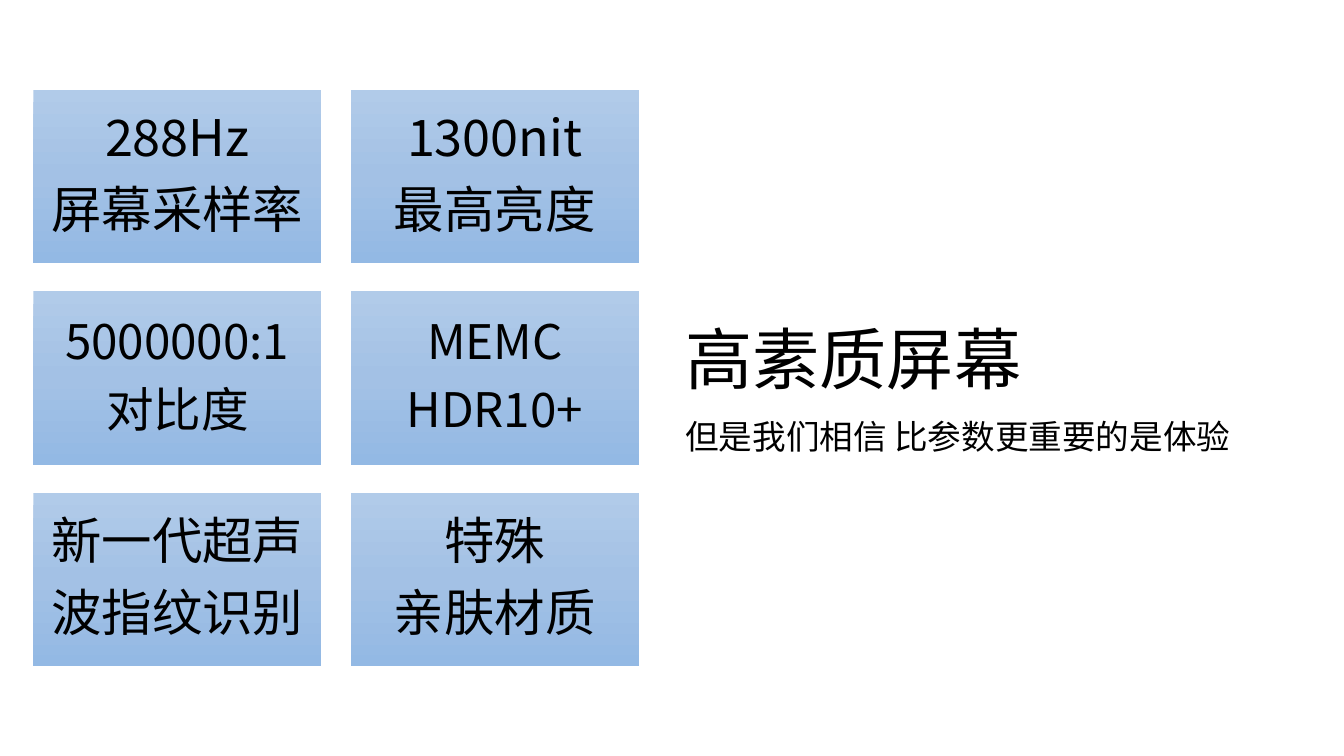
from copy import deepcopy
from dataclasses import dataclass

from lxml import etree
from pptx import Presentation
from pptx.dml.color import RGBColor
from pptx.enum import shapes, text
from pptx.oxml import ns
from pptx.util import Cm, Pt

CJK_FONT = "Noto Sans CJK SC"
BLACK = "000000"
GRADIENT = [(0, "B1CBE9"), (0.5, "A3C1E5"), (1, "93B9E4")]
COLUMNS = 2
LEFT, TOP = 0.84, 2.26
STEP_X, STEP_Y = 8, 5.08
CARD_W, CARD_H = 7.26, 4.37


@dataclass
class Card:
    lines: str
    size: int = 36
    inset: float = 0.38


CARDS = [
    Card("288Hz\n屏幕采样率"),
    Card("1300nit\n最高亮度"),
    Card("5000000:1\n对比度", 34, 0.36),
    Card("MEMC\nHDR10+", 34, 0.36),
    Card("新一代超声\n波指纹识别"),
    Card("特殊\n亲肤材质"),
]


def rgb(value: str) -> RGBColor:
    return RGBColor.from_string(value)


def write(tf, content: str, size: int, font: str, align) -> None:
    tf.text = content
    tf.word_wrap = True
    tf.auto_size = text.MSO_AUTO_SIZE.NONE
    tf.vertical_anchor = text.MSO_ANCHOR.MIDDLE
    for p in tf.paragraphs:
        p.alignment = align
        p.line_spacing = 0.9
        p.space_before = Pt(0)
        for r in p.runs:
            r.font.size = Pt(size)
            r.font.name = font
            r.font.color.rgb = rgb(BLACK)
            ea = etree.SubElement(r.font._element, ns.qn("a:ea"))
            ea.set("typeface", CJK_FONT)


def space_after_percent(p, percent: int) -> None:
    p.space_after = Pt(0)
    after = p._p.pPr.find(ns.qn("a:spcAft"))
    after.clear()
    etree.SubElement(after, ns.qn("a:spcPct")).set("val", str(percent * 1000))


def fill_gradient(fill) -> None:
    fill.gradient()
    fill.gradient_angle = 270
    # A new gradient has two stops; add the middle one
    stops = fill._xPr.find(ns.qn("a:gradFill")).find(ns.qn("a:gsLst"))
    stops.append(deepcopy(stops[0]))
    for stop, (position, color) in zip(fill.gradient_stops, GRADIENT):
        stop.position = position
        stop.color.rgb = rgb(color)


def add_card(s, card: Card, index: int) -> None:
    row, column = divmod(index, COLUMNS)
    sp = s.shapes.add_shape(
        shapes.MSO_SHAPE.RECTANGLE,
        Cm(LEFT + column * STEP_X), Cm(TOP + row * STEP_Y),
        Cm(CARD_W), Cm(CARD_H))
    sp.shadow.inherit = False
    sp.line.fill.background()
    fill_gradient(sp.fill)
    tf = sp.text_frame
    tf.margin_left = tf.margin_right = Cm(card.inset)
    tf.margin_top = tf.margin_bottom = Cm(card.inset)
    write(tf, card.lines, card.size, CJK_FONT, text.PP_ALIGN.CENTER)
    for p in tf.paragraphs:
        space_after_percent(p, 35)


def main() -> None:
    prs = Presentation()
    prs.slide_width, prs.slide_height = Cm(33.87), Cm(19.05)
    s = prs.slides.add_slide(prs.slide_layouts[5])

    # Grid of screen features
    for index, card in enumerate(CARDS):
        add_card(s, card, index)

    # Title
    title = s.shapes.title
    title.left, title.top = Cm(17.02), Cm(7.87)
    title.width, title.height = Cm(15.11), Cm(2.54)
    write(title.text_frame, "高素质屏幕", 48, "Lato", text.PP_ALIGN.LEFT)

    # Subtitle
    subtitle = s.shapes.add_textbox(Cm(17.02), Cm(10.36), Cm(15.11), Cm(1.4))
    write(subtitle.text_frame, "但是我们相信 比参数更重要的是体验", 24, "Karla",
          text.PP_ALIGN.LEFT)

    prs.save("out.pptx")


if __name__ == "__main__":
    main()
